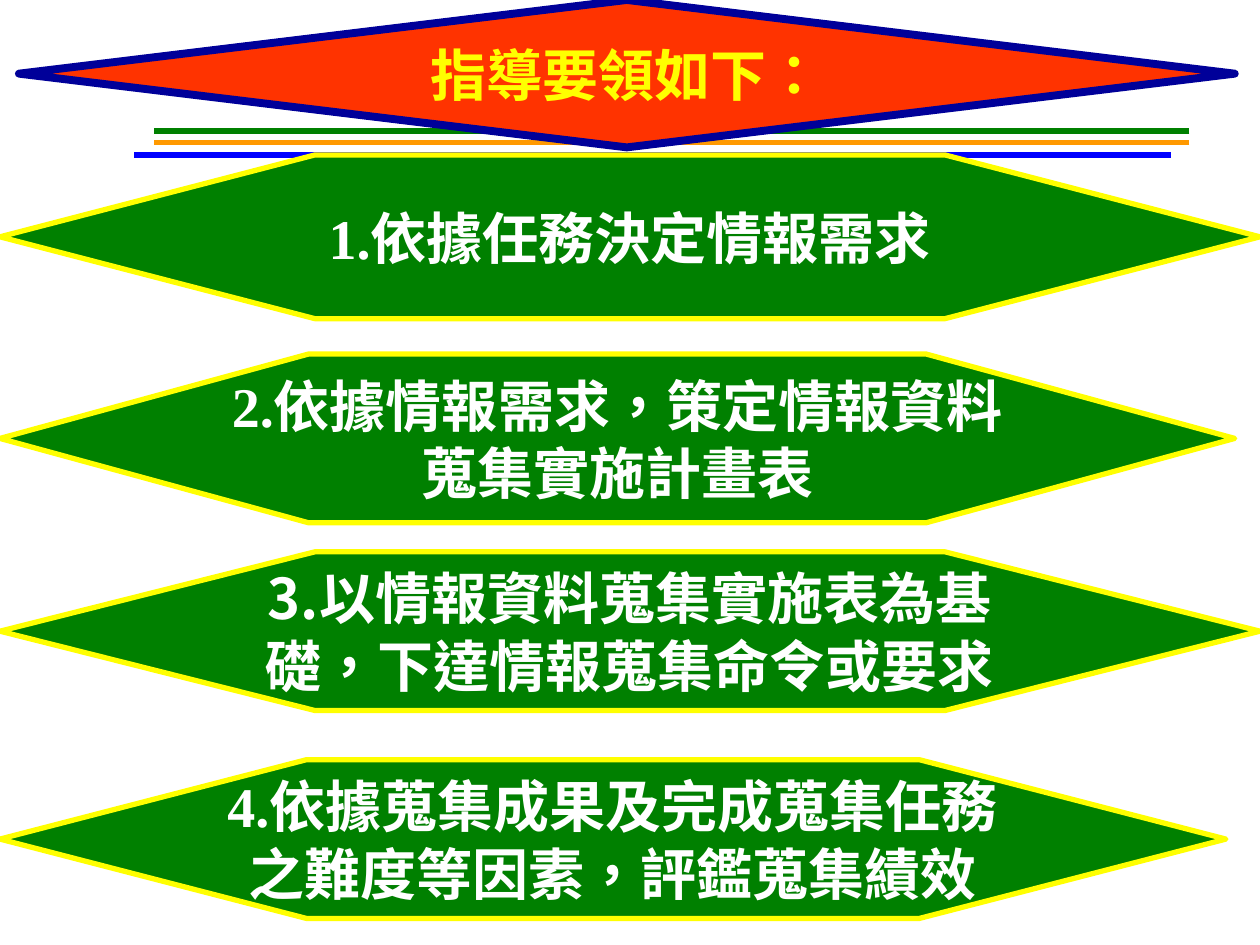
from lxml.etree import SubElement
from pptx import Presentation
from pptx.dml.color import RGBColor
from pptx.enum.shapes import MSO_CONNECTOR, MSO_SHAPE
from pptx.enum.text import MSO_ANCHOR, PP_ALIGN
from pptx.oxml.ns import qn
from pptx.util import Inches, Pt

WIDTH, HEIGHT = 10, 7.5
LATIN, CJK = "Times New Roman", "Noto Sans CJK SC"
GREEN, YELLOW, WHITE = "008000", "FFFF00", "FFFFFF"

# Left end, right end, height on the slide, colour
RULES = [
    (1.22, 9.44, 1.13, "FF9900"),
    (1.06, 9.29, 1.23, "0000FF"),
    (1.22, 9.44, 1.04, GREEN),
]

# Top, width, height, then lines of (text, font) runs
GUIDELINES = [
    (1.23, WIDTH, 1.3, [[("1.依據任務決定情報需求", LATIN)]]),
    (2.81, 9.8, 1.34, [[("2.依據情報需求，策定情報資料", LATIN)],
                       [("蒐集實施計畫表", LATIN)]]),
    (4.38, WIDTH, 1.26, [[("3.以情報資料蒐集實施表為基", CJK)],
                         [("礎，下達情報蒐集命令或要求", CJK)]]),
    (6.03, 9.73, 1.26, [[("4.依據蒐集成果及完成蒐集任務", LATIN)],
                        [("之難度等因素", LATIN), ("，評鑑蒐集績效", CJK)]]),
]


def rgb(hex_colour):
    return RGBColor.from_string(hex_colour)


def add_rule(slide, left, right, y, colour):
    rule = slide.shapes.add_connector(
        MSO_CONNECTOR.STRAIGHT, Inches(right), Inches(y), Inches(left), Inches(y))
    rule.line.color.rgb = rgb(colour)
    rule.line.width = Pt(3)
    SubElement(rule._element.spPr, qn("a:effectLst"))


def format_run(run, font_name, colour):
    """Style a run, with the CJK font for its Chinese characters."""
    font = run.font
    font.size, font.bold = Pt(32), True
    font.color.rgb = rgb(colour)
    font.name = font_name
    properties = run._r.get_or_add_rPr()
    properties.set("lang", "zh-TW")
    SubElement(properties, qn("a:ea"), typeface=CJK)


def write_lines(shape, lines, colour):
    frame = shape.text_frame
    frame.word_wrap = False
    frame.vertical_anchor = MSO_ANCHOR.MIDDLE
    for index, line in enumerate(lines):
        paragraph = frame.add_paragraph() if index else frame.paragraphs[0]
        paragraph.alignment = PP_ALIGN.CENTER
        for text, font_name in line:
            run = paragraph.add_run()
            run.text = text
            format_run(run, font_name, colour)


def add_banner(slide, preset, box, fill, outline, outline_width, lines, colour):
    banner = slide.shapes.add_shape(preset, *map(Inches, box))
    banner.shadow.inherit = False
    banner.fill.solid()
    banner.fill.fore_color.rgb = rgb(fill)
    banner.line.color.rgb = rgb(outline)
    banner.line.width = Pt(outline_width)
    write_lines(banner, lines, colour)
    return banner


def add_guideline(slide, top, width, height, lines):
    """Add a hexagon whose points each take a quarter of its width."""
    hexagon = add_banner(slide, MSO_SHAPE.HEXAGON, (0, top, width, height),
                         GREEN, YELLOW, 3, lines, WHITE)
    hexagon.adjustments[0] = width / 4 / height


def main():
    deck = Presentation()
    deck.slide_width, deck.slide_height = Inches(WIDTH), Inches(HEIGHT)
    slide = deck.slides.add_slide(deck.slide_layouts[6])
    for rule in RULES:
        add_rule(slide, *rule)
    for guideline in GUIDELINES:
        add_guideline(slide, *guideline)
    add_banner(slide, MSO_SHAPE.FLOWCHART_DECISION, (0.15, 0, 9.65, 1.17),
               "FF3300", "000099", 4.5, [[("指導要領如下：", LATIN)]], YELLOW)
    deck.save("out.pptx")


if __name__ == "__main__":
    main()
